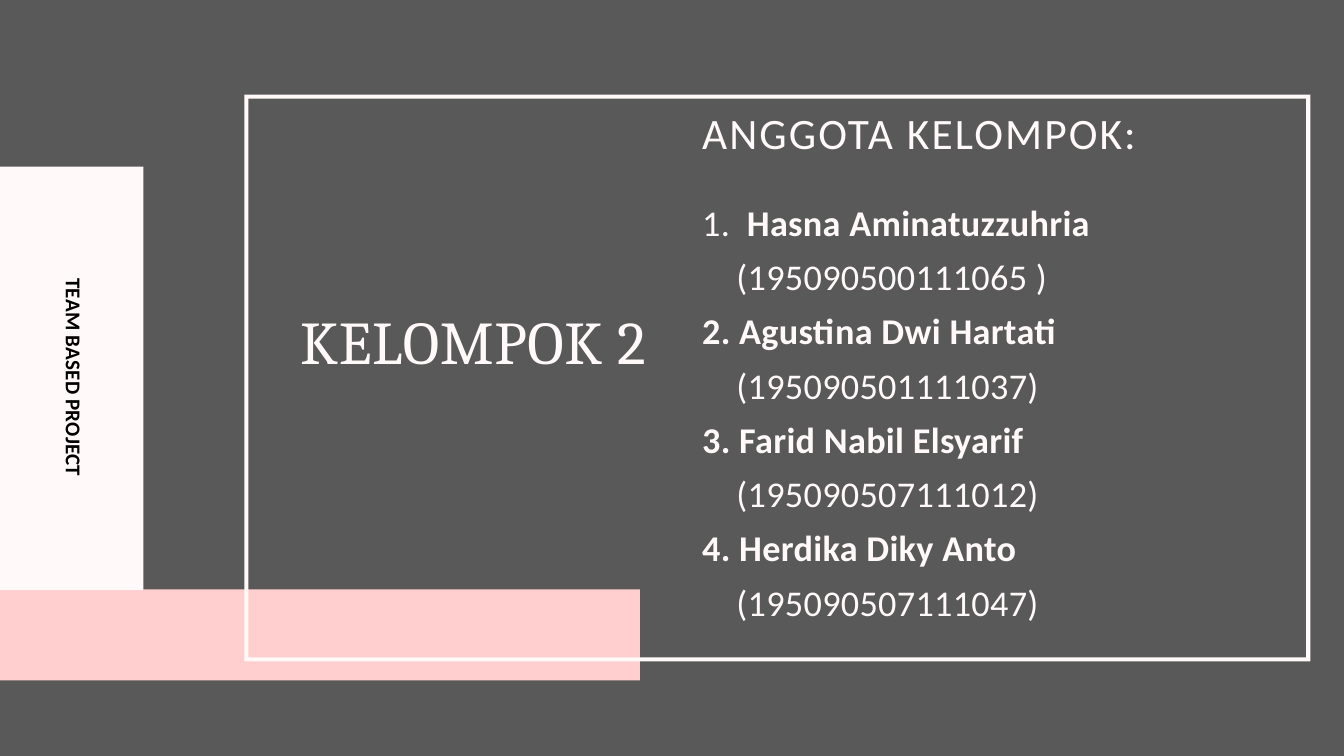
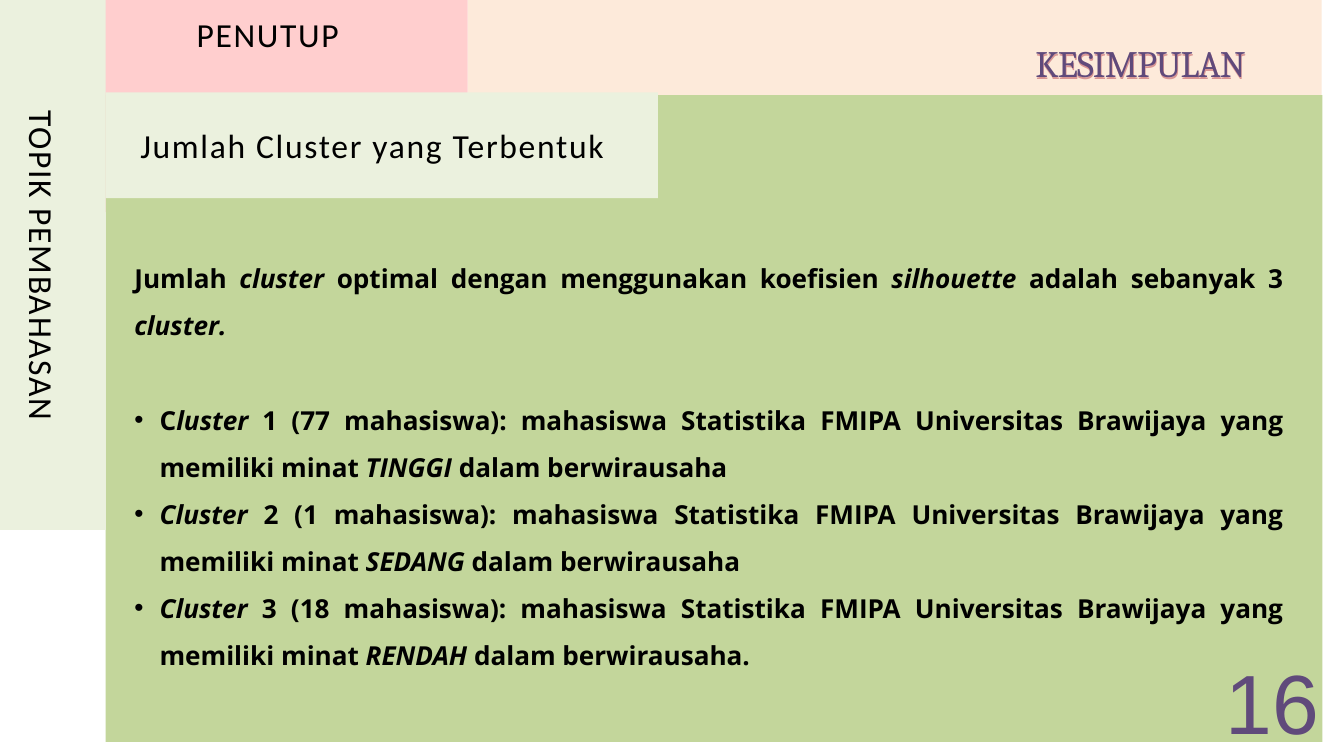
"""Builds the group slide and the conclusion slide."""
from dataclasses import dataclass
from typing import Optional

from lxml.etree import SubElement
from pptx import Presentation
from pptx.dml.color import RGBColor
from pptx.enum.shapes import MSO_SHAPE
from pptx.enum.text import MSO_ANCHOR, MSO_AUTO_SIZE, PP_ALIGN
from pptx.oxml.ns import qn
from pptx.slide import Slide
from pptx.text.text import TextFrame, _Paragraph
from pptx.util import Pt

PX = 9525
COLOURS = {
    "charcoal": "595959",
    "white": "FFFFFF",
    "snow": "FFF9F9",
    "pink": "FFCECE",
    "peach": "FDEADA",
    "green": "C3D69B",
    "mint": "EBF1DE",
    "rose": "D99694",
    "purple": "604A7B",
    "black": "000000",
}


@dataclass(frozen=True)
class Box:
    """A place on the slide in px."""

    left: int
    top: int
    width: int
    height: int
    rotation: int = 0

    def emu(self) -> tuple[int, int, int, int]:
        """Return left, top, width and height in EMU."""
        return self.left * PX, self.top * PX, self.width * PX, self.height * PX


@dataclass(frozen=True)
class Style:
    """The look of a paragraph, with sizes in points."""

    font: str
    size: float
    colour: str
    leading: float
    tracking: float = 0
    bold: bool = False
    align: PP_ALIGN = PP_ALIGN.LEFT


@dataclass(frozen=True)
class Band:
    """A filled rectangle."""

    box: Box
    colour: str


@dataclass(frozen=True)
class Label:
    """A single line of text in its box."""

    text: str
    box: Box
    style: Style


@dataclass(frozen=True)
class Member:
    """A group member, with the distance in px from number to name."""

    name: str
    student_id: str
    name_offset: int = 53
    bold_number: bool = True


CENTRE, JUSTIFY = PP_ALIGN.CENTER, PP_ALIGN.JUSTIFY
GROUP_TITLE = Style("Cambria", 65, "snow", Pt(84.5), 0.7, align=CENTRE)
MEMBERS_HEADING = Style("Calibri", 46.5, "snow", Pt(55.9), 2.33)
MEMBER_LINE = Style("Calibri", 38.8, "snow", Pt(58.2), 0.38)
PROJECT_TAG = Style("Calibri", 22.5, "black", Pt(31.5), 0.22, True, CENTRE)
TOPIC = Style("Calibri", 36, "black", Pt(43.2), 1.8, align=CENTRE)
CONCLUSION = Style("Cambria", 40, "purple", Pt(130), -1)
CONCLUSION_SHADE = Style("Cambria", 40, "rose", Pt(130), -1)
FINDING = Style("Open Sans", 28, "black", 1.5, bold=True, align=JUSTIFY)
PAGE_NUMBER = Style("Arial", 90, "purple", 0.9, align=CENTRE)

MEMBERS = [
    Member("Hasna Aminatuzzuhria", "(195090500111065 )", 64, False),
    Member("Agustina Dwi Hartati", "(195090501111037)"),
    Member("Farid Nabil Elsyarif", "(195090507111012)"),
    Member("Herdika Diky Anto", "(195090507111047)"),
]
STUDENT_ID_INDENT = 49

SUMMARY = "Jumlah *cluster* optimal dengan menggunakan koefisien *silhouette* adalah sebanyak 3 *cluster.*"
STUDENTS = "mahasiswa Statistika FMIPA Universitas Brawijaya yang memiliki minat"
CLUSTERS = [
    f"C*luster* 1 (77 mahasiswa): {STUDENTS} *TINGGI* dalam berwirausaha",
    f"*Cluster *2 (1 mahasiswa): {STUDENTS} *SEDANG* dalam berwirausaha",
    f"*Cluster *3 (18 mahasiswa): {STUDENTS} *RENDAH* dalam berwirausaha.",
]
BULLET_INDENT = 36
SUMMARY_GAP = 50.4
FINDINGS_TOP_MARGIN = 51


def rgb(colour: str) -> RGBColor:
    """Return the named colour."""
    return RGBColor.from_string(COLOURS[colour])


def add_slide(deck: Presentation, background: str) -> Slide:
    """Add a blank slide with a plain background."""
    slide = deck.slides.add_slide(deck.slide_layouts[6])
    slide.background.fill.solid()
    slide.background.fill.fore_color.rgb = rgb(background)
    return slide


def paint(shape, colour: str) -> None:
    """Give a shape a flat fill without line or shadow."""
    shape.shadow.inherit = False
    shape.fill.solid()
    shape.fill.fore_color.rgb = rgb(colour)
    shape.line.fill.background()


def draw_band(slide: Slide, band: Band) -> None:
    """Draw a filled rectangle."""
    rectangle = slide.shapes.add_shape(MSO_SHAPE.RECTANGLE, *band.box.emu())
    rectangle.rotation = band.box.rotation
    paint(rectangle, band.colour)


def draw_frame(slide: Slide, box: Box, thickness: int, colour: str) -> None:
    """Draw a hollow rectangular outline."""
    right, bottom = box.left + box.width, box.top + box.height
    inner_left, inner_top = box.left + thickness, box.top + thickness
    inner_right, inner_bottom = right - thickness, bottom - thickness
    outline = slide.shapes.build_freeform(box.left, box.top, scale=PX)
    outline.add_line_segments([(box.left, bottom), (right, bottom), (right, box.top)])
    outline.move_to(inner_right, inner_bottom)
    outline.add_line_segments(
        [(inner_left, inner_bottom), (inner_left, inner_top), (inner_right, inner_top)]
    )
    paint(outline.convert_to_shape(), colour)


def add_text_frame(slide: Slide, box: Box, margin_x: int = 0, margin_y: int = 0) -> TextFrame:
    """Add a wrapping text box and return its frame."""
    text_box = slide.shapes.add_textbox(*box.emu())
    text_box.rotation = box.rotation
    frame = text_box.text_frame
    frame.word_wrap = True
    frame.auto_size = MSO_AUTO_SIZE.SHAPE_TO_FIT_TEXT
    frame.margin_left = frame.margin_right = margin_x * PX
    frame.margin_top = frame.margin_bottom = margin_y * PX
    return frame


def next_paragraph(frame: TextFrame) -> _Paragraph:
    """Return the unused first paragraph or a new one."""
    first = frame.paragraphs[0]
    return first if not first.runs else frame.add_paragraph()


def apply_style(paragraph: _Paragraph, style: Style) -> None:
    """Set font, spacing and alignment of a paragraph."""
    paragraph.alignment = style.align
    paragraph.line_spacing = style.leading
    font = paragraph.font
    font.name, font.size, font.bold = style.font, Pt(style.size), style.bold
    font.color.rgb = rgb(style.colour)
    if style.tracking:
        defaults = paragraph._p.pPr.find(qn("a:defRPr"))
        defaults.set("spc", str(round(style.tracking * 100)))


def indent(paragraph: _Paragraph, margin: int, hanging: int = 0, bullet: Optional[str] = None) -> None:
    """Indent a styled paragraph, optionally hanging and bulleted."""
    properties = paragraph._p.pPr
    properties.set("marL", str(margin * PX))
    properties.set("indent", str(-hanging * PX))
    if bullet:
        defaults = properties.find(qn("a:defRPr"))
        defaults.addprevious(SubElement(properties, qn("a:buFont"), typeface="Arial"))
        defaults.addprevious(SubElement(properties, qn("a:buChar"), char=bullet))


def draw_label(slide: Slide, label: Label) -> None:
    """Draw one line of text."""
    paragraph = add_text_frame(slide, label.box).paragraphs[0]
    paragraph.add_run().text = label.text
    apply_style(paragraph, label.style)


def draw_members(slide: Slide, box: Box) -> None:
    """List the members, each with a student number below."""
    frame = add_text_frame(slide, box)
    for number, member in enumerate(MEMBERS, 1):
        heading = next_paragraph(frame)
        for text, bold in ((f"{number}.\t", member.bold_number), (member.name, True)):
            run = heading.add_run()
            run.text, run.font.bold = text, bold
        apply_style(heading, MEMBER_LINE)
        indent(heading, member.name_offset, member.name_offset)
        student_id = next_paragraph(frame)
        student_id.add_run().text = member.student_id
        apply_style(student_id, MEMBER_LINE)
        indent(student_id, STUDENT_ID_INDENT)


def write_finding(frame: TextFrame, marked_text: str) -> _Paragraph:
    """Write a paragraph whose starred parts are italic."""
    paragraph = next_paragraph(frame)
    for position, part in enumerate(marked_text.split("*")):
        if part:
            run = paragraph.add_run()
            run.text, run.font.italic = part, position % 2 == 1
    apply_style(paragraph, FINDING)
    return paragraph


def draw_findings(slide: Slide, box: Box) -> None:
    """Write the summary and the bulleted clusters."""
    frame = add_text_frame(slide, box, 10, 5)
    frame.margin_top = FINDINGS_TOP_MARGIN * PX
    write_finding(frame, SUMMARY).space_after = Pt(SUMMARY_GAP)
    for cluster in CLUSTERS:
        indent(write_finding(frame, cluster), BULLET_INDENT, BULLET_INDENT, "•")


def draw_page_number(slide: Slide, number: int, box: Box) -> None:
    """Write the page number at the foot of its box."""
    frame = add_text_frame(slide, box, 10, 10)
    frame.auto_size = MSO_AUTO_SIZE.NONE
    frame.vertical_anchor = MSO_ANCHOR.BOTTOM
    frame.paragraphs[0].add_run().text = str(number)
    apply_style(frame.paragraphs[0], PAGE_NUMBER)


def build_group_slide(deck: Presentation) -> None:
    """Build the slide that presents the group."""
    slide = add_slide(deck, "charcoal")
    draw_band(slide, Band(Box(0, 842, 914, 130), "pink"))
    draw_frame(slide, Box(349, 135, 1523, 810), 6, "snow")
    draw_label(slide, Label("ANGGOTA KELOMPOK:", Box(1003, 151, 809, 74), MEMBERS_HEADING))
    draw_members(slide, Box(1003, 270, 809, 618))
    draw_label(slide, Label("KELOMPOK 2", Box(392, 425, 568, 113), GROUP_TITLE))
    draw_band(slide, Band(Box(0, 238, 205, 605), "snow"))
    draw_label(slide, Label("TEAM BASED PROJECT", Box(-120, 520, 462, 38, 90), PROJECT_TAG))


def build_conclusion_slide(deck: Presentation) -> None:
    """Build the slide with the conclusion."""
    slide = add_slide(deck, "white")
    for band in (
        Band(Box(668, -11, 1220, 150), "peach"),
        Band(Box(120, -35, 548, 338), "pink"),
        Band(Box(151, 136, 1738, 924), "green"),
        Band(Box(-303, 303, 757, 151, 90), "mint"),
        Band(Box(151, 132, 789, 151), "mint"),
    ):
        draw_band(slide, band)
    for label in (
        Label("TOPIK PEMBAHASAN", Box(-262, 350, 645, 58, 90), TOPIC),
        Label("KESIMPULAN", Box(1480, -49, 759, 174), CONCLUSION_SHADE),
        Label("KESIMPULAN", Box(1479, -52, 759, 174), CONCLUSION),
        Label("PENUTUP", Box(-151, 20, 1067, 58), TOPIC),
        Label("Jumlah Cluster yang Terbentuk", Box(158, 178, 748, 58), TOPIC),
    ):
        draw_label(slide, label)
    draw_findings(slide, Box(182, 302, 1661, 676))
    draw_page_number(slide, 16, Box(1729, 970, 178, 115))


def main() -> None:
    """Build and save the presentation."""
    deck = Presentation()
    deck.slide_width, deck.slide_height = 1920 * PX, 1080 * PX
    build_group_slide(deck)
    build_conclusion_slide(deck)
    deck.save("out.pptx")


if __name__ == "__main__":
    main()
